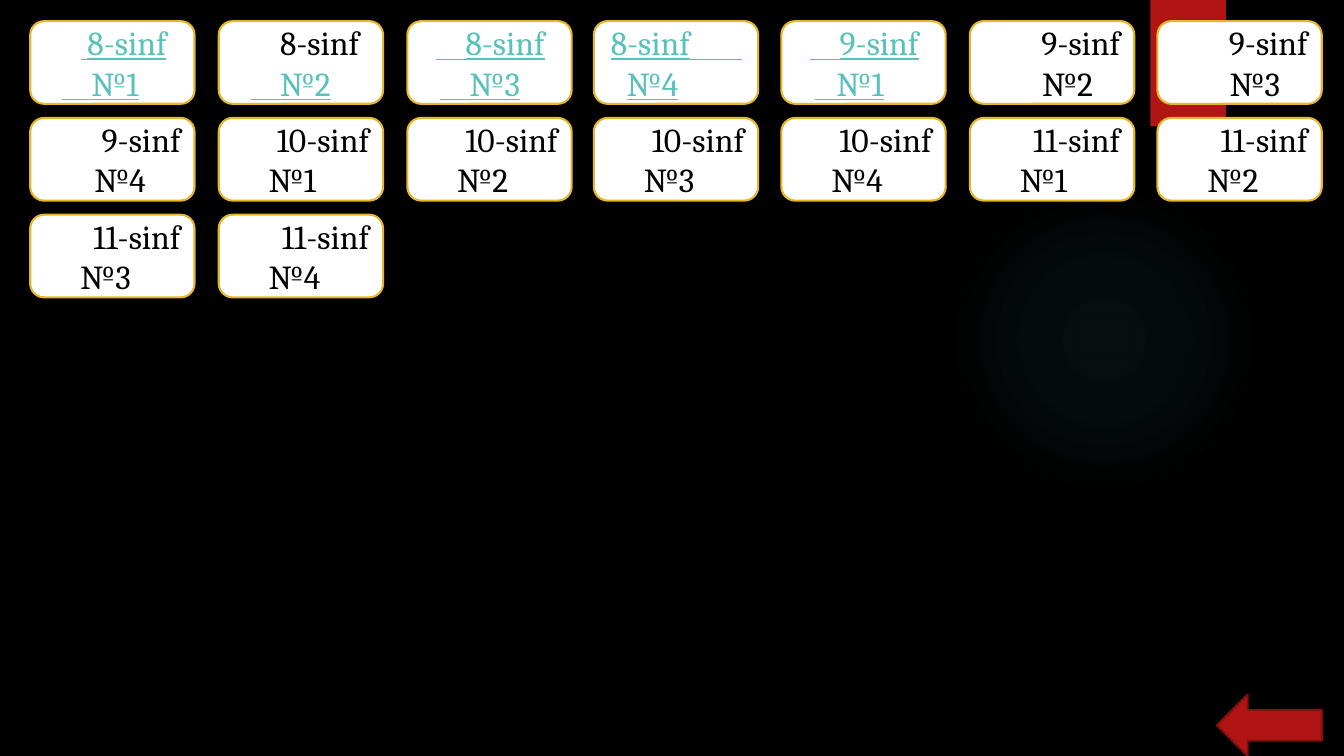
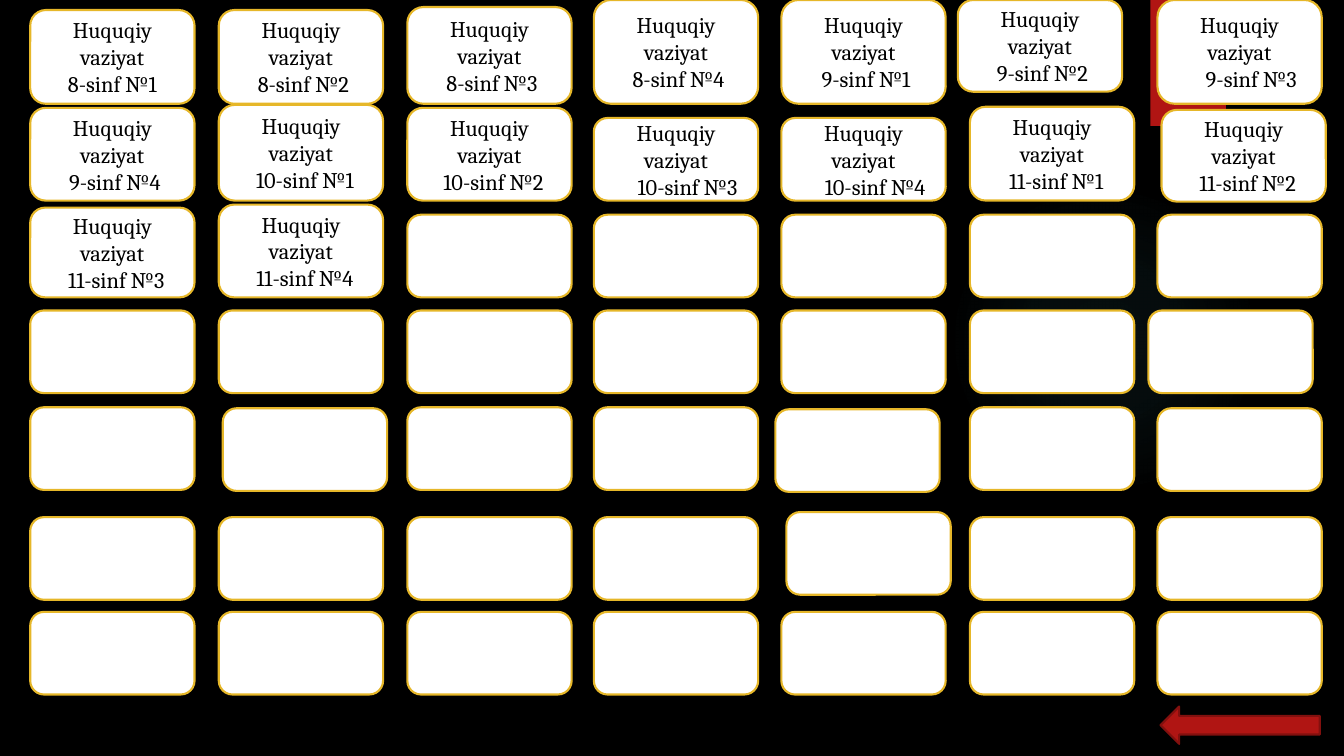
from dataclasses import dataclass
from itertools import product

from lxml import etree
from pptx import Presentation
from pptx import util as u
from pptx.dml.color import RGBColor
from pptx.enum import shapes, text
from pptx.oxml import parse_xml
from pptx.oxml.ns import nsdecls, qn

PX = 9144  # EMU in one px: 100 px make an inch
LEFT, CENTER, RIGHT = text.PP_ALIGN.LEFT, text.PP_ALIGN.CENTER, text.PP_ALIGN.RIGHT


@dataclass(frozen=True)
class Theme:
    background: str = "000000"
    ink: str = "000000"
    tile: str = "FFFFFF"
    gold: str = "E6B729"
    red: str = "B01513"
    dark_red: str = "82100E"
    link: str = "58C1BA"
    glow: str = "50B9C1"
    font: str = "Cambria"
    large: int = 24
    small: int = 16
    outline: float = 1.5
    rule: float = 1


@dataclass(frozen=True)
class Box:
    left: int
    top: int
    width: int
    height: int


@dataclass(frozen=True)
class Line:
    """One line of a tile; rule is a drawn underline (start, end) beside the words."""
    words: str
    align: text.PP_ALIGN = LEFT
    indent: int = 0
    linked: bool = False
    rule: tuple[int, int] | None = None


THEME = Theme()

# Grid shared by both slides
COLUMNS = (30, 217, 404, 589, 775, 962, 1148)
ROWS = (21, 117, 213, 308, 404, 513, 607)
TILE_WIDTH, TILE_HEIGHT = 163, 82
INSET = 10
TEXT_START = 14  # inset plus the rounded corner
RULE_TOPS = (38, 78)  # underline heights inside a tile
LABELS = list(product((8, 9, 10, 11), (1, 2, 3, 4)))  # grade, variant


def px(length: int) -> u.Emu:
    return u.Emu(length * PX)


def rgb(color: str) -> RGBColor:
    return RGBColor.from_string(color)


def add_box(slide, kind: shapes.MSO_SHAPE, box: Box, fill: str, outline: str | None = None):
    shape = slide.shapes.add_shape(
        kind, px(box.left), px(box.top), px(box.width), px(box.height))
    shape.shadow.inherit = False
    shape.fill.solid()
    shape.fill.fore_color.rgb = rgb(fill)
    if outline:
        shape.line.color.rgb = rgb(outline)
        shape.line.width = u.Pt(THEME.outline)
    else:
        shape.line.fill.background()
    return shape


def add_text(paragraph, words: str, *, size: int, color: str = THEME.ink,
             align: text.PP_ALIGN = LEFT, indent: int = 0, underline: bool = False) -> None:
    paragraph.alignment = align
    if indent:
        paragraph._p.get_or_add_pPr().set("marL", str(px(indent)))
    run = paragraph.add_run()
    run.text = words
    run.font.name = THEME.font
    run.font.size = u.Pt(size)
    run.font.color.rgb = rgb(color)
    if underline:
        run.font.underline = True


def add_rule(slide, left: int, right: int, top: int) -> None:
    connector = slide.shapes.add_connector(
        shapes.MSO_CONNECTOR.STRAIGHT, px(left), px(top), px(right), px(top))
    connector.line.color.rgb = rgb(THEME.link)
    connector.line.width = u.Pt(THEME.rule)
    etree.SubElement(connector._element.spPr, qn("a:effectLst"))


def add_tile(slide, box: Box, lines: tuple[Line, ...] = (), size: int = THEME.small) -> None:
    shape = add_box(slide, shapes.MSO_SHAPE.ROUNDED_RECTANGLE, box, THEME.tile, THEME.gold)
    frame = shape.text_frame
    frame.word_wrap = True
    frame.vertical_anchor = text.MSO_ANCHOR.MIDDLE
    frame.margin_left = frame.margin_right = px(INSET)
    for number, line in enumerate(lines):
        paragraph = frame.add_paragraph() if number else frame.paragraphs[0]
        add_text(paragraph, line.words, size=size, align=line.align, indent=line.indent,
                 color=THEME.link if line.linked else THEME.ink, underline=line.linked)
        if line.rule:
            start, end = (box.left + TEXT_START + x for x in line.rule)
            add_rule(slide, start, end, box.top + RULE_TOPS[number])


def add_slide(presentation, arrow: Box):
    """Blank slide with the glow, the red band and the back arrow."""
    slide = presentation.slides.add_slide(presentation.slide_layouts[6])
    glow = add_box(slide, shapes.MSO_SHAPE.OVAL, Box(941, 183, 308, 308), THEME.glow)
    stops = "".join(
        f'<a:gs pos="{place * 1000}"><a:srgbClr val="{THEME.glow}">'
        f'<a:alpha val="{alpha * 1000}"/></a:srgbClr></a:gs>'
        for place, alpha in ((0, 7), (36, 6), (69, 0), (100, 0)))
    gradient = parse_xml(
        f'<a:gradFill {nsdecls("a")} rotWithShape="1"><a:gsLst>{stops}</a:gsLst>'
        '<a:path path="circle"><a:fillToRect l="50000" t="50000" r="50000" b="50000"/>'
        '</a:path></a:gradFill>')
    properties = glow._element.spPr
    properties.replace(properties.find(qn("a:solidFill")), gradient)
    add_box(slide, shapes.MSO_SHAPE.RECTANGLE, Box(1141, 0, 75, 125), THEME.red)
    add_box(slide, shapes.MSO_SHAPE.LEFT_ARROW, arrow, THEME.red, THEME.dark_red)
    return slide


def grid_box(row: int, column: int) -> Box:
    return Box(COLUMNS[column], ROWS[row], TILE_WIDTH, TILE_HEIGHT)


def linked(words: str, indent: int, rule_start: int) -> Line:
    return Line(words, LEFT, indent, True, (rule_start, indent))


# Tiles of the first slide that carry links
LINKED_TILES = {
    (8, 1): (linked("8-sinf", 43, 36), linked("№1", 47, 18)),
    (8, 2): (Line("8-sinf", LEFT, 47), linked("№2", 47, 18)),
    (8, 3): (linked("8-sinf", 44, 14), linked("№3", 48, 18)),
    (8, 4): (Line("8-sinf", LEFT, 3, True, (81, 133)), Line("№4", LEFT, 19, True)),
    (9, 1): (linked("9-sinf", 44, 14), linked("№1", 41, 19)),
}
NUMBER_INDENTS = {(9, 2): 58, (9, 3): 58, (9, 4): 50}
PLAIN_INDENT = 36


def build_menu(presentation) -> None:
    slide = add_slide(presentation, Box(1207, 689, 104, 61))
    for index, label in enumerate(LABELS):
        grade, variant = label
        lines = LINKED_TILES.get(label) or (
            Line(f"{grade}-sinf", RIGHT),
            Line(f"№{variant}", LEFT, NUMBER_INDENTS.get(label, PLAIN_INDENT)))
        add_tile(slide, grid_box(*divmod(index, len(COLUMNS))), lines, THEME.large)


# Second slide: tops of the taller tiles, which keep the bottom of their row
TALL_TOPS = (10, 10, 7, 0, 0, 0, 0, 107, 104, 107, 117, 117, 106, 109, 206, 203)
# Tiles that stand off the grid, by row and column
MOVED = {
    (0, 5): Box(950, 0, TILE_WIDTH, 91),
    (1, 6): Box(1152, 109, TILE_WIDTH, 91),
    (3, 6): Box(1139, 308, TILE_WIDTH, TILE_HEIGHT),
    (4, 1): Box(221, 405, TILE_WIDTH, TILE_HEIGHT),
    (4, 4): Box(769, 406, TILE_WIDTH, TILE_HEIGHT),
    (4, 6): Box(1148, 405, TILE_WIDTH, TILE_HEIGHT),
    (5, 4): Box(780, 508, TILE_WIDTH, TILE_HEIGHT),
}
CAPTION_INDENTS = {(8, 1): 0, (9, 3): 23, (10, 3): 23, (10, 4): 23}


def build_situations(presentation) -> None:
    slide = add_slide(presentation, Box(1151, 701, 158, 37))
    for index, place in enumerate(product(range(len(ROWS)), range(len(COLUMNS)))):
        box = grid_box(*place)
        lines: tuple[Line, ...] = ()
        if index < len(LABELS):
            grade, variant = label = LABELS[index]
            top = TALL_TOPS[index]
            box = Box(box.left, top, box.width, box.top + box.height - top)
            indent = CAPTION_INDENTS.get(label, 5 if grade < 10 else 8)
            lines = (Line("Huquqiy vaziyat", CENTER),
                     Line(f"{grade}-sinf №{variant}", CENTER, indent))
        add_tile(slide, MOVED.get(place, box), lines)


def main() -> None:
    presentation = Presentation()
    presentation.slide_width, presentation.slide_height = px(1333), px(750)
    background = presentation.slide_master.background.fill
    background.solid()
    background.fore_color.rgb = rgb(THEME.background)
    build_menu(presentation)
    build_situations(presentation)
    presentation.save("out.pptx")


if __name__ == "__main__":
    main()
